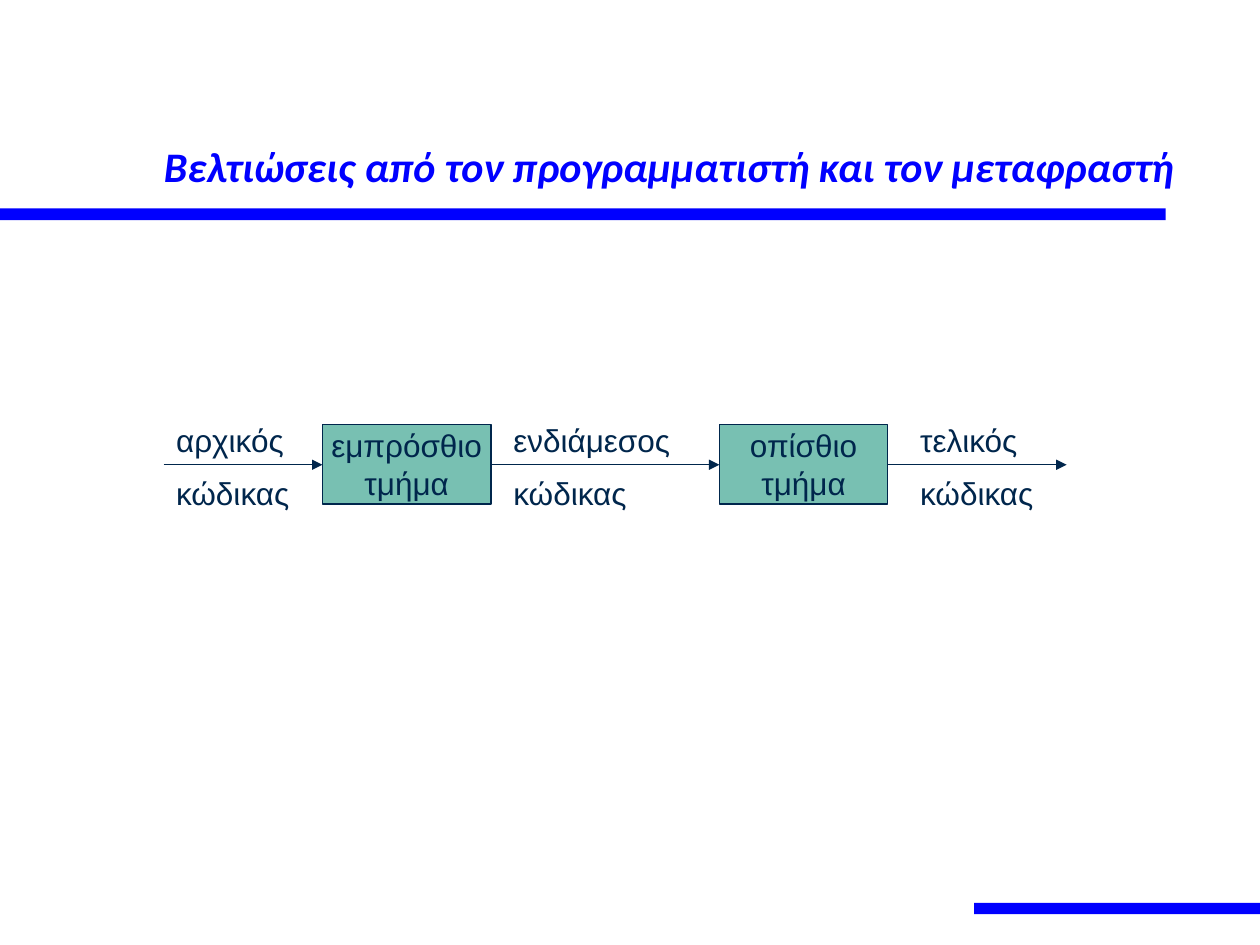
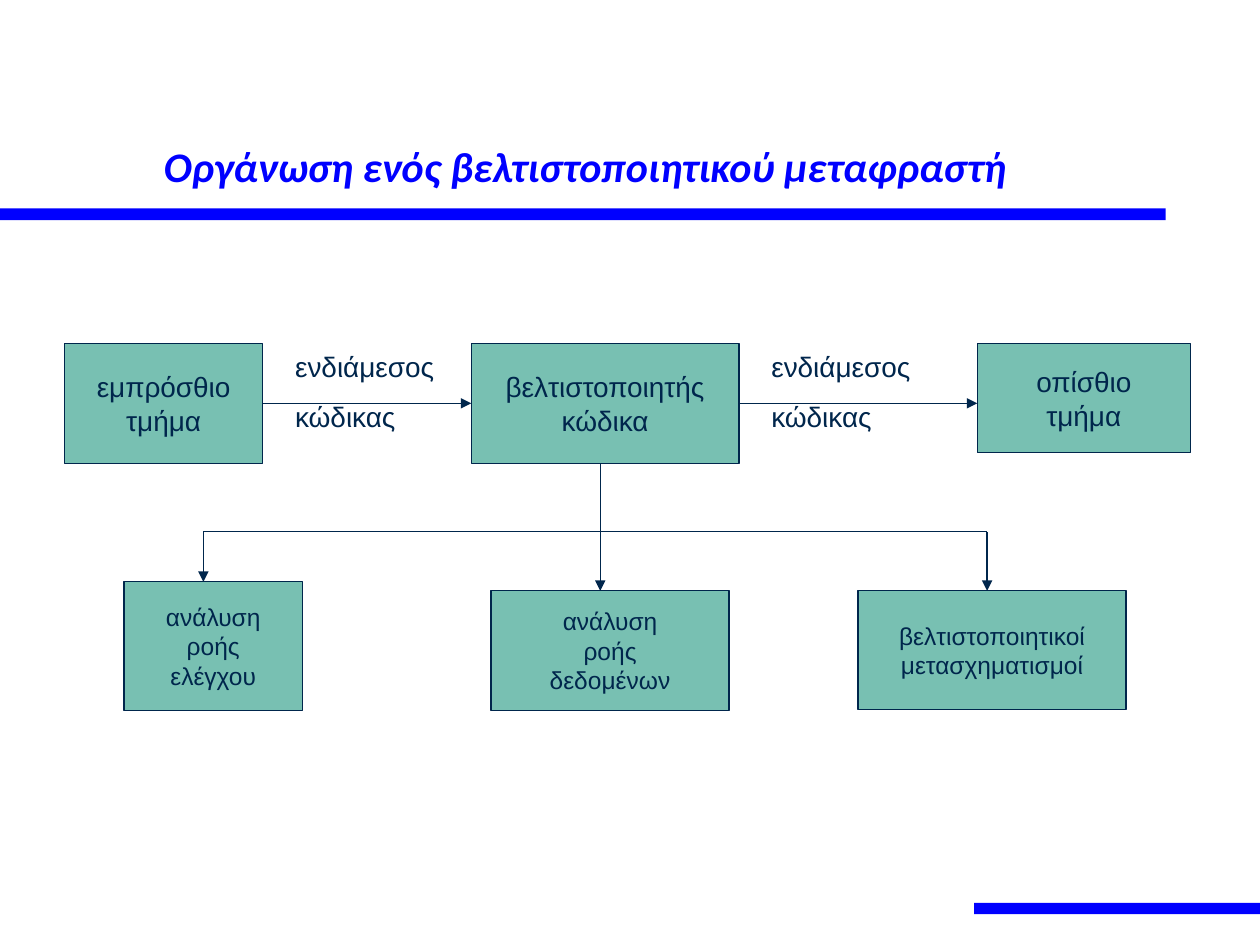
from lxml import etree
from pptx import Presentation
from pptx.dml.color import RGBColor
from pptx.enum.shapes import MSO_CONNECTOR, MSO_SHAPE
from pptx.enum.text import MSO_ANCHOR, PP_ALIGN
from pptx.oxml.ns import qn
from pptx.util import Cm, Pt

RECTANGLE = MSO_SHAPE.RECTANGLE
STRAIGHT = MSO_CONNECTOR.STRAIGHT
CENTER, LEFT = PP_ALIGN.CENTER, PP_ALIGN.LEFT
MIDDLE, BOTTOM = MSO_ANCHOR.MIDDLE, MSO_ANCHOR.BOTTOM

COLORS = {"accent": "0000FF", "box": "78C0B2", "ink": "00264C"}
TITLE_FONT, BODY_FONT = "Calibri", "Arial"
TITLE_ONLY = 5
LINE_WIDTH = Pt(0.75)
LABEL_GAP = Pt(9)
BANDS = [(0, 4.2, 23.5, 0.24), (19.64, 18.2, 5.76, 0.23)]


def color(name):
    """Return the named colour."""
    return RGBColor.from_string(COLORS[name])


def lengths(values):
    """Turn numbers in centimetres into lengths."""
    return [Cm(value) for value in values]


def add_run(paragraph, text, font_name, size, color_name):
    """Add one formatted run and return it."""
    run = paragraph.add_run()
    run.text = text
    run.font.name = font_name
    run.font.size = Pt(size)
    run.font.color.rgb = color(color_name)
    return run


def add_lines(text_frame, lines, size, alignment, gap=Pt(0)):
    """Write each line as a paragraph, with a gap between paragraphs."""
    for index, line in enumerate(lines):
        paragraph = text_frame.add_paragraph() if index else text_frame.paragraphs[0]
        paragraph.alignment = alignment
        paragraph.space_before = gap if index else Pt(0)
        add_run(paragraph, line, BODY_FONT, size, "ink")


def add_rectangle(slide, bounds, fill_name):
    """Add a plain filled rectangle without a shadow."""
    shape = slide.shapes.add_shape(RECTANGLE, *lengths(bounds))
    shape.shadow.inherit = False
    shape.fill.solid()
    shape.fill.fore_color.rgb = color(fill_name)
    shape.line.fill.background()
    return shape


def add_box(slide, bounds, lines, size):
    """Add an outlined box with centred lines of text."""
    box = add_rectangle(slide, bounds, "box")
    box.line.color.rgb = color("ink")
    box.line.width = LINE_WIDTH
    box.text_frame.word_wrap = False
    box.text_frame.vertical_anchor = MIDDLE
    add_lines(box.text_frame, lines, size, CENTER)
    return box


def add_label(slide, bounds, adjective, size):
    """Name the code that flows along an arrow, above and below it."""
    label = slide.shapes.add_textbox(*lengths(bounds))
    label.text_frame.word_wrap = True
    add_lines(label.text_frame, [adjective, "κώδικας"], size, LEFT, LABEL_GAP)


def add_line(slide, start, end, arrow=True):
    """Draw a straight line between two points, with an arrowhead by default."""
    connector = slide.shapes.add_connector(STRAIGHT, *start, *end)
    connector.line.color.rgb = color("ink")
    connector.line.width = LINE_WIDTH
    if arrow:
        head = etree.SubElement(connector.get_or_add_ln(), qn("a:tailEnd"))
        head.set("type", "triangle")
    etree.SubElement(connector.element.spPr, qn("a:effectLst"))


def add_titled_slide(presentation, title_text):
    """Add a title-only slide with the shared title style."""
    slide = presentation.slides.add_slide(presentation.slide_layouts[TITLE_ONLY])
    title = slide.shapes.title
    title.left, title.top, title.width, title.height = lengths((3.05, 0.79, 21.6, 3.18))
    title.text_frame.word_wrap = True
    title.text_frame.vertical_anchor = BOTTOM
    paragraph = title.text_frame.paragraphs[0]
    paragraph.alignment = LEFT
    run = add_run(paragraph, title_text, TITLE_FONT, 24, "accent")
    run.font.bold = run.font.italic = True
    return slide


def move_bands_to_layout(slide):
    """Put the coloured bands on the layout that all slides share."""
    layout_tree = slide.slide_layout.shapes.element
    for number, bounds in enumerate(BANDS, start=1):
        band = add_rectangle(slide, bounds, "accent")
        band.name = f"Band {number}"
        band.element.nvSpPr.cNvPr.set("id", str(100 + number))
        layout_tree.append(band.element)


def build_improvements(presentation):
    """Show the front end and back end with the code between them."""
    slide = add_titled_slide(
        presentation, "Βελτιώσεις από τον προγραμματιστή και τον μεταφραστή")
    move_bands_to_layout(slide)
    front, back = [
        add_box(slide, (left, 8.56, 3.4, 1.6), [name, "τμήμα"], 18)
        for left, name in [(6.5, "εμπρόσθιο"), (14.5, "οπίσθιο")]]
    flow_y = Cm(9.37)
    stops = [(Cm(3.3), front.left),
             (front.left + front.width, back.left),
             (back.left + back.width, Cm(21.5))]
    for start, end in stops:
        add_line(slide, (start, flow_y), (end, flow_y))
    for left, width, adjective in [
            (3.3, 3, "αρχικός"), (10.1, 4, "ενδιάμεσος"), (18.3, 3, "τελικός")]:
        add_label(slide, (left, 8.36, width, 2.16), adjective, 18)


def build_organisation(presentation):
    """Show the optimising compiler and the parts of its optimiser."""
    slide = add_titled_slide(
        presentation, "Οργάνωση ενός βελτιστοποιητικού μεταφραστή")
    stages = [add_box(slide, (left, 6.93, width, height), lines, 16)
              for left, width, height, lines in [
                  (1.3, 4, 2.41, ["εμπρόσθιο", "τμήμα"]),
                  (9.5, 5.4, 2.41, ["βελτιστοποιητής", "κώδικα"]),
                  (19.7, 4.3, 2.2, ["οπίσθιο", "τμήμα"])]]
    flow_y = Cm(8.13)
    for source, target in zip(stages, stages[1:]):
        add_line(slide, (source.left + source.width, flow_y), (target.left, flow_y))
    for left in (5.7, 15.3):
        add_label(slide, (left, 6.93, 4.5, 1.96), "ενδιάμεσος", 16)

    optimiser = stages[1]
    bus_y = Cm(10.72)
    trunk_y = optimiser.top + optimiser.height
    parts = [
        (4.1, bus_y, (2.5, 11.73, 3.6, 2.59), ["ανάλυση", "ροής", "ελέγχου"]),
        (12.1, trunk_y, (9.9, 11.91, 4.8, 2.41), ["ανάλυση", "ροής", "δεδομένων"]),
        (19.9, bus_y, (17.3, 11.91, 5.4, 2.4),
         ["βελτιστοποιητικοί", "μετασχηματισμοί"])]
    for branch_x, start_y, bounds, lines in parts:
        part = add_box(slide, bounds, lines, 14)
        add_line(slide, (Cm(branch_x), start_y), (Cm(branch_x), part.top))
    add_line(slide, (Cm(parts[0][0]), bus_y), (Cm(parts[-1][0]), bus_y), arrow=False)


def main():
    """Build and save the presentation."""
    presentation = Presentation()
    presentation.slide_width, presentation.slide_height = lengths((25.4, 19.05))
    build_improvements(presentation)
    build_organisation(presentation)
    presentation.save("out.pptx")


if __name__ == "__main__":
    main()
